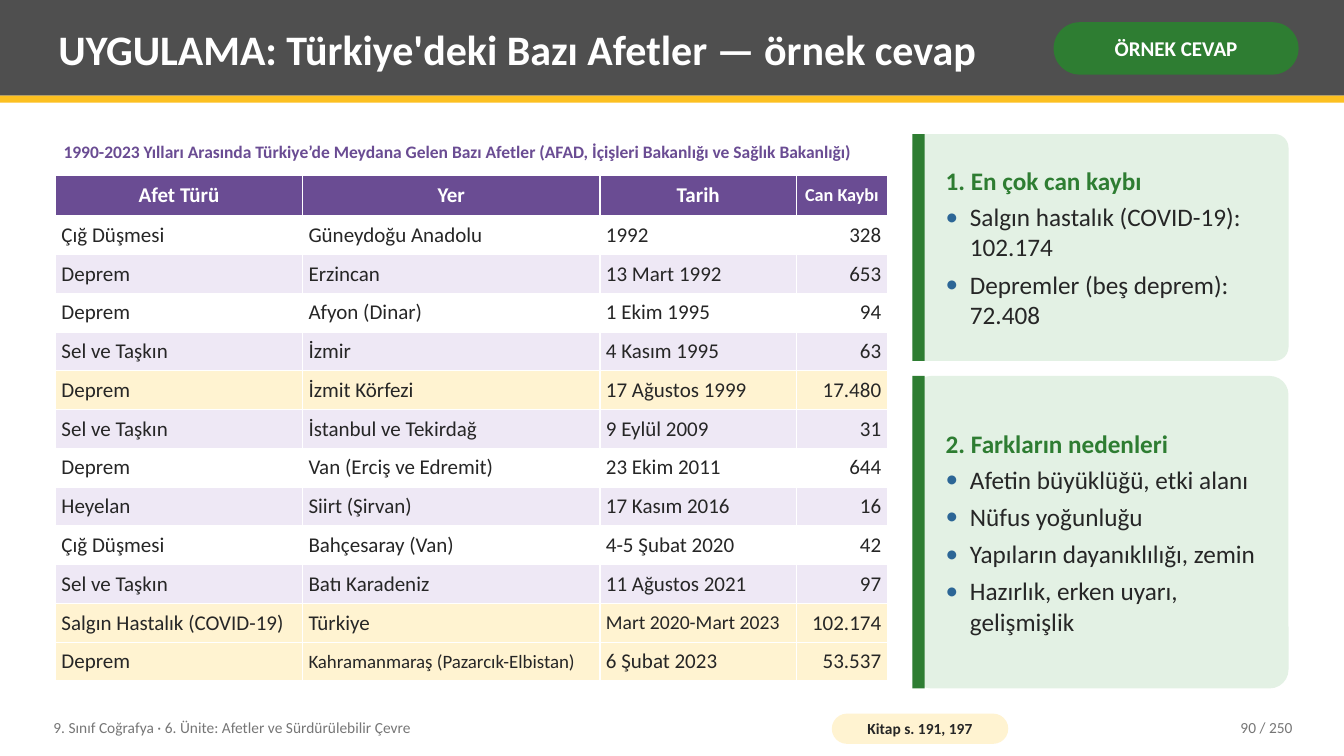
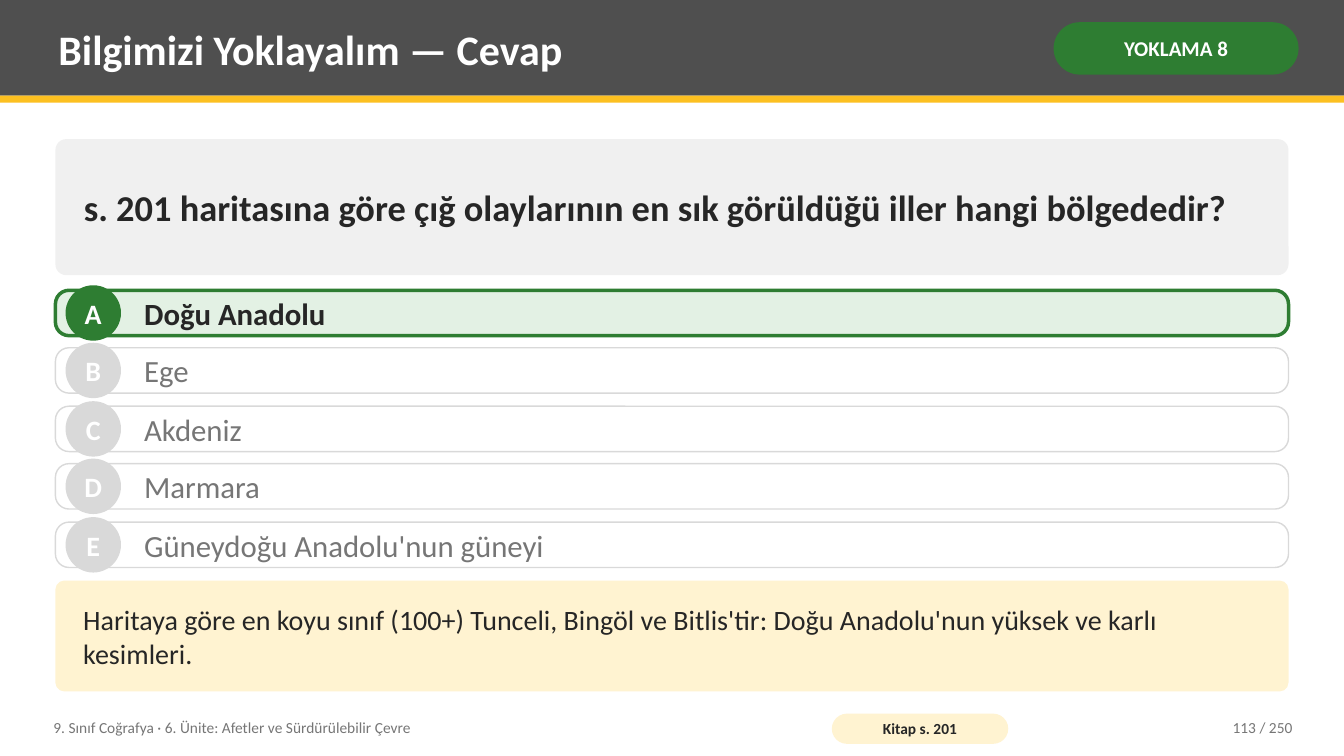
from lxml import etree
from pptx import Presentation
from pptx.dml.color import RGBColor
from pptx.enum.shapes import MSO_SHAPE
from pptx.enum.text import MSO_ANCHOR, MSO_AUTO_SIZE, PP_ALIGN
from pptx.oxml import parse_xml
from pptx.oxml.ns import nsdecls, qn
from pptx.util import Pt

PX = 9144  # 100 px to the inch
FONT = "Calibri"
RECTANGLE, ROUNDED, OVAL = MSO_SHAPE.RECTANGLE, MSO_SHAPE.ROUNDED_RECTANGLE, MSO_SHAPE.OVAL
LEFT, CENTER, RIGHT = PP_ALIGN.LEFT, PP_ALIGN.CENTER, PP_ALIGN.RIGHT
MIDDLE = MSO_ANCHOR.MIDDLE

WHITE = RGBColor(0xFF, 0xFF, 0xFF)
INK = RGBColor(0x26, 0x26, 0x26)
MUTED = RGBColor(0x76, 0x76, 0x76)
SILVER = RGBColor(0xD9, 0xD9, 0xD9)
PALE_GRAY = RGBColor(0xF0, 0xF0, 0xF0)
HEADER_GRAY = RGBColor(0x4F, 0x4F, 0x4F)
AMBER = RGBColor(0xFC, 0xC0, 0x21)
CREAM = RGBColor(0xFF, 0xF3, 0xD1)
GREEN = RGBColor(0x2E, 0x7D, 0x32)
PALE_GREEN = RGBColor(0xE3, 0xF1, 0xE4)
PURPLE = RGBColor(0x6A, 0x4C, 0x93)
LILAC = RGBColor(0xEE, 0xE8, 0xF5)
BLUE = RGBColor(0x2C, 0x66, 0x96)


def add_box(slide, box, kind=None, fill=None, radius=None, margins=(8, 4)):
    """Add a filled shape, or a text box when no kind is given; margins are (side, top and bottom)."""
    box = [length * PX for length in box]
    if kind is None:
        shape = slide.shapes.add_textbox(*box)
    else:
        shape = slide.shapes.add_shape(kind, *box)
        shape.shadow.inherit = False
        shape.fill.solid()
        shape.fill.fore_color.rgb = fill
        shape.line.fill.background()
        if radius is not None:
            shape.adjustments[0] = radius
    frame = shape.text_frame
    frame.word_wrap = True
    frame.vertical_anchor = MIDDLE
    frame.margin_left = frame.margin_right = margins[0] * PX
    frame.margin_top = frame.margin_bottom = margins[1] * PX
    return shape


def write(paragraph, text, size, color, bold=False, align=LEFT):
    paragraph.alignment = align
    run = paragraph.add_run()
    run.text = text
    run.font.name = FONT
    run.font.size = Pt(size)
    run.font.bold = bold
    run.font.color.rgb = color


presentation = Presentation()
presentation.slide_width = 1333 * PX
presentation.slide_height = 750 * PX
title_only = presentation.slide_layouts[5]

# Shared header, badge and footer
pages = [
    ("UYGULAMA: Türkiye'deki Bazı Afetler — örnek cevap", "ÖRNEK CEVAP", "Kitap s. 191, 197", "90 / 250"),
    ("Bilgimizi Yoklayalım — Cevap", "YOKLAMA 8", "Kitap s. 201", "113 / 250"),
]
slides = []
for title_text, badge_text, source_text, page_text in pages:
    slide = presentation.slides.add_slide(title_only)
    slides.append(slide)
    title = slide.shapes.title
    add_box(slide, (0, 0, 1333, 95), RECTANGLE, HEADER_GRAY)
    amber_band = add_box(slide, (0, 95, 1333, 7), RECTANGLE, AMBER)
    amber_band.element.addnext(title.element)

    title.left, title.top, title.width, title.height = [length * PX for length in (50, 7, 975, 82)]
    frame = title.text_frame
    frame.auto_size = MSO_AUTO_SIZE.NONE
    frame.word_wrap = True
    frame.vertical_anchor = MIDDLE
    frame.margin_left = frame.margin_right = 8 * PX
    frame.margin_top = frame.margin_bottom = 4 * PX
    write(frame.paragraphs[0], title_text, 30, WHITE, bold=True)

    badge = add_box(slide, (1045, 22, 243, 52), ROUNDED, GREEN, 0.5, margins=(5, 2))
    write(badge.text_frame.paragraphs[0], badge_text, 15, WHITE, True, CENTER)
    unit = add_box(slide, (45, 704, 760, 36))
    write(unit.text_frame.paragraphs[0],
          "9. Sınıf Coğrafya · 6. Ünite: Afetler ve Sürdürülebilir Çevre", 11, MUTED)
    source = add_box(slide, (825, 708, 175, 30), ROUNDED, CREAM, 0.5, margins=(4, 0))
    write(source.text_frame.paragraphs[0], source_text, 11, INK, True, CENTER)
    page_number = add_box(slide, (1130, 704, 160, 36))
    write(page_number.text_frame.paragraphs[0], page_text, 11, MUTED, align=RIGHT)

disaster_slide, quiz_slide = slides

# Disaster table
caption = add_box(disaster_slide, (55, 128, 825, 44))
write(caption.text_frame.paragraphs[0],
      "1990-2023 Yılları Arasında Türkiye’de Meydana Gelen Bazı Afetler "
      "(AFAD, İçişleri Bakanlığı ve Sağlık Bakanlığı)", 12.5, PURPLE, bold=True)

disasters = [
    ("Afet Türü", "Yer", "Tarih", "Can Kaybı"),
    ("Çığ Düşmesi", "Güneydoğu Anadolu", "1992", "328"),
    ("Deprem", "Erzincan", "13 Mart 1992", "653"),
    ("Deprem", "Afyon (Dinar)", "1 Ekim 1995", "94"),
    ("Sel ve Taşkın", "İzmir", "4 Kasım 1995", "63"),
    ("Deprem", "İzmit Körfezi", "17 Ağustos 1999", "17.480"),
    ("Sel ve Taşkın", "İstanbul ve Tekirdağ", "9 Eylül 2009", "31"),
    ("Deprem", "Van (Erciş ve Edremit)", "23 Ekim 2011", "644"),
    ("Heyelan", "Siirt (Şirvan)", "17 Kasım 2016", "16"),
    ("Çığ Düşmesi", "Bahçesaray (Van)", "4-5 Şubat 2020", "42"),
    ("Sel ve Taşkın", "Batı Karadeniz", "11 Ağustos 2021", "97"),
    ("Salgın Hastalık (COVID-19)", "Türkiye", "Mart 2020-Mart 2023", "102.174"),
    ("Deprem", "Kahramanmaraş (Pazarcık-Elbistan)", "6 Şubat 2023", "53.537"),
]
deadliest_rows = {5, 11, 12}
tight_sizes = {(0, 3): 13, (11, 2): 14, (12, 1): 13.5}

table = disaster_slide.shapes.add_table(
    len(disasters), 4, 55 * PX, 174 * PX, 825 * PX, 502 * PX).table
table.first_row = table.horz_banding = False
for column, width in zip(table.columns, (245, 295, 195, 90)):
    column.width = width * PX
for row_index, values in enumerate(disasters):
    is_header = row_index == 0
    table.rows[row_index].height = 40 * PX if is_header else 462 * PX // 12
    if is_header:
        row_fill = PURPLE
    elif row_index in deadliest_rows:
        row_fill = CREAM
    else:
        row_fill = WHITE if row_index % 2 else LILAC
    for column_index, value in enumerate(values):
        cell = table.cell(row_index, column_index)
        cell.vertical_anchor = MIDDLE
        cell.margin_left = cell.margin_right = 6 * PX
        cell.margin_top = cell.margin_bottom = 5 * PX
        for side in ("lnL", "lnR", "lnT", "lnB"):
            cell.fill  # ensures the cell has its properties element
            cell._tc.get_or_add_tcPr().append(parse_xml(
                f'<a:{side} {nsdecls("a")} w="12192"><a:solidFill>'
                f'<a:srgbClr val="{WHITE}"/></a:solidFill></a:{side}>'))
        cell.fill.solid()
        cell.fill.fore_color.rgb = row_fill
        align = CENTER if is_header else RIGHT if column_index == 3 else LEFT
        write(cell.text_frame.paragraphs[0], value, tight_sizes.get((row_index, column_index), 15),
              WHITE if is_header else INK, is_header, align)

# Answer cards
cards = [
    (133, 225, "1. En çok can kaybı",
     ["Salgın hastalık (COVID-19): 102.174", "Depremler (beş deprem): 72.408"]),
    (373, 310, "2. Farkların nedenleri",
     ["Afetin büyüklüğü, etki alanı", "Nüfus yoğunluğu", "Yapıların dayanıklılığı, zemin",
      "Hazırlık, erken uyarı, gelişmişlik"]),
]
for top, height, heading, points in cards:
    add_box(disaster_slide, (905, top, 373, height), ROUNDED, PALE_GREEN, 0.06)
    add_box(disaster_slide, (905, top, 12, height), RECTANGLE, GREEN)
    frame = add_box(disaster_slide, (930, top + 6, 338, height - 12)).text_frame
    write(frame.paragraphs[0], heading, 18, GREEN, bold=True)
    frame.paragraphs[0].space_after = Pt(4)
    for point in points:
        paragraph = frame.add_paragraph()
        properties = paragraph._p.get_or_add_pPr()
        properties.set("marL", str(24 * PX))
        properties.set("indent", str(-24 * PX))
        bullet_color = etree.SubElement(properties, qn("a:buClr"))
        etree.SubElement(bullet_color, qn("a:srgbClr"), val=str(BLUE))
        etree.SubElement(properties, qn("a:buFont"), typeface=FONT)
        etree.SubElement(properties, qn("a:buChar"), char="•")
        if point != points[-1]:
            paragraph.space_after = Pt(5)
        write(paragraph, point, 18, INK)

# Quiz question, options and explanation
question = add_box(quiz_slide, (55, 138, 1223, 135), ROUNDED, PALE_GRAY, 0.08, margins=(25, 8))
write(question.text_frame.paragraphs[0],
      "s. 201 haritasına göre çığ olaylarının en sık görüldüğü iller hangi bölgededir?",
      26, INK, bold=True)

options = ["Doğu Anadolu", "Ege", "Akdeniz", "Marmara", "Güneydoğu Anadolu'nun güneyi"]
correct_option = "Doğu Anadolu"
for index, (letter, option) in enumerate(zip("ABCDE", options)):
    is_correct = option == correct_option
    accent = GREEN if is_correct else SILVER
    top = 288 + index * 115 // 2
    bar = add_box(quiz_slide, (55, top, 1223, 45), ROUNDED, PALE_GREEN if is_correct else WHITE, 0.3)
    bar.line.color.rgb = accent
    bar.line.width = Pt(2.5 if is_correct else 1)
    circle = add_box(quiz_slide, (65, top - 5, 55, 55), OVAL, accent, margins=(0, 0))
    write(circle.text_frame.paragraphs[0], letter, 20, WHITE, True, CENTER)
    label = add_box(quiz_slide, (135, top, 1123, 45))
    write(label.text_frame.paragraphs[0], option, 22, INK if is_correct else MUTED, is_correct)

explanation = add_box(quiz_slide, (55, 576, 1223, 110), ROUNDED, CREAM, 0.08, margins=(25, 8))
write(explanation.text_frame.paragraphs[0],
      "Haritaya göre en koyu sınıf (100+) Tunceli, Bingöl ve Bitlis'tir: "
      "Doğu Anadolu'nun yüksek ve karlı kesimleri.", 20, INK)

presentation.save("out.pptx")
